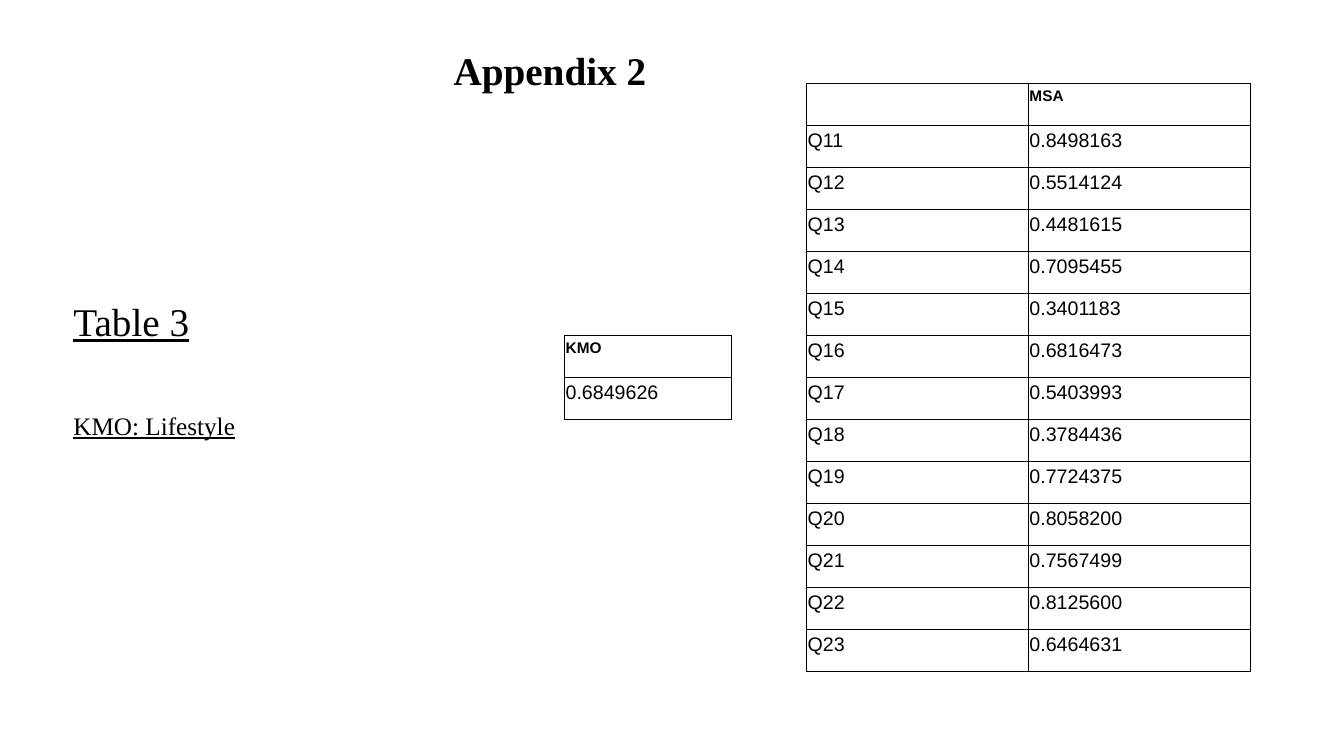
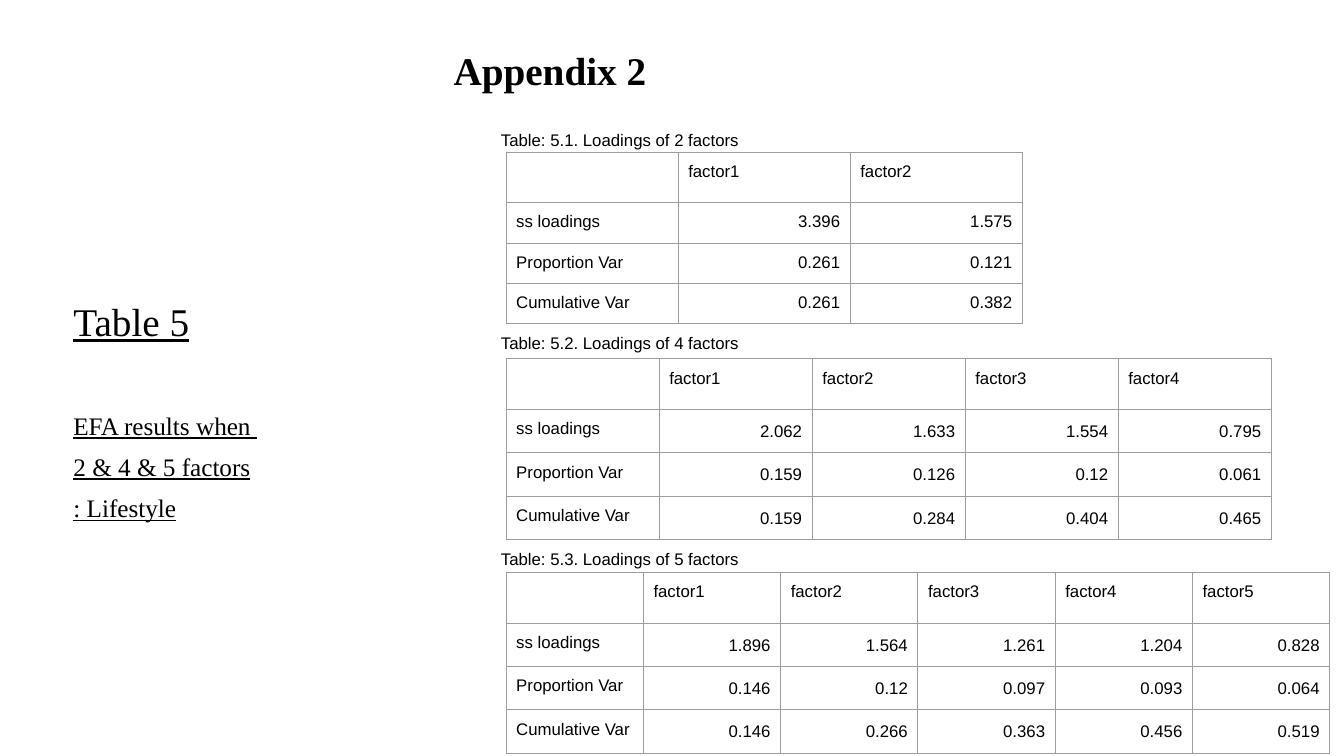
"""Builds two appendix slides with sampling adequacy and factor loading tables."""
from lxml import etree
from pptx import Presentation
from pptx.dml.color import RGBColor
from pptx.enum.text import MSO_ANCHOR, PP_ALIGN
from pptx.oxml.ns import qn
from pptx.util import Inches, Pt

MIDDLE, TOP = MSO_ANCHOR.MIDDLE, MSO_ANCHOR.TOP
LEFT, RIGHT = PP_ALIGN.LEFT, PP_ALIGN.RIGHT
BLACK = RGBColor(0x00, 0x00, 0x00)
GREY = RGBColor(0x9E, 0x9E, 0x9E)
SERIF, SANS = "Times New Roman", "Arial"
BLANK_LAYOUT = 6
HEADER_ROW, ROW, TIGHT_ROW = Pt(34.5), Pt(30), Pt(28)
LOADINGS_LEFT = 5.02

KMO = [["KMO"], ["0.6849626"]]
MSA_VALUES = [
    "0.8498163", "0.5514124", "0.4481615", "0.7095455", "0.3401183",
    "0.6816473", "0.5403993", "0.3784436", "0.7724375", "0.8058200",
    "0.7567499", "0.8125600", "0.6464631",
]
MSA = [["", "MSA"]] + [[f"Q{number}", value] for number, value in enumerate(MSA_VALUES, 11)]

MEASURES = ["ss loadings", "Proportion Var", "Cumulative Var"]
TWO_FACTORS = [["3.396", "1.575"], ["0.261", "0.121"], ["0.261", "0.382"]]
FOUR_FACTORS = [
    ["2.062", "1.633", "1.554", "0.795"],
    ["0.159", "0.126", "0.12", "0.061"],
    ["0.159", "0.284", "0.404", "0.465"],
]
FIVE_FACTORS = [
    ["1.896", "1.564", "1.261", "1.204", "0.828"],
    ["0.146", "0.12", "0.097", "0.093", "0.064"],
    ["0.146", "0.266", "0.363", "0.456", "0.519"],
]


def style_paragraph(paragraph, text, font_name, size, bold=False, underline=False,
                    spacing=1.0, align=LEFT):
    """Writes one paragraph and formats its runs."""
    paragraph.text = text
    paragraph.line_spacing = spacing
    paragraph.alignment = align
    for run in paragraph.runs:
        font = run.font
        font.name, font.size, font.bold = font_name, Pt(size), bold
        font.underline = underline
        font.color.rgb = BLACK


def add_frame(slide, left, top, width, height, anchor=TOP):
    """Adds a wrapping text box and returns its text frame."""
    box = slide.shapes.add_textbox(Inches(left), Inches(top), Inches(width), Inches(height))
    frame = box.text_frame
    frame.word_wrap = True
    frame.vertical_anchor = anchor
    return frame


def add_appendix_slide(prs, heading, description):
    """Adds a slide with the shared title and the description on the left."""
    slide = prs.slides.add_slide(prs.slide_layouts[BLANK_LAYOUT])
    title = add_frame(slide, 4.4, 0.17, 8.5, 1.1, MIDDLE)
    style_paragraph(title.paragraphs[0], "Appendix 2", SERIF, 28, bold=True, spacing=0.9)
    body = add_frame(slide, 0.63, 2.95, 4.1, 4.4)
    style_paragraph(body.paragraphs[0], heading, SERIF, 28, underline=True, spacing=0.9)
    for index, line in enumerate(description):
        paragraph = body.add_paragraph()
        style_paragraph(paragraph, line, SERIF, 18, underline=True, spacing=0.9)
        paragraph.space_before = Pt(10 if index else 49)
    return slide


def add_borders(cell, color, width):
    """Draws a solid line on all four sides of a cell."""
    properties = cell._tc.get_or_add_tcPr()
    for side in ("a:lnL", "a:lnR", "a:lnT", "a:lnB"):
        line = etree.SubElement(properties, qn(side), w=str(Pt(width)))
        fill = etree.SubElement(line, qn("a:solidFill"))
        etree.SubElement(fill, qn("a:srgbClr"), val=str(color))


def add_grid(slide, left, top, width, heights, rows, border, inset, format_cell):
    """Adds a bordered table with equal columns."""
    columns = len(rows[0])
    frame = slide.shapes.add_table(len(rows), columns, Inches(left), Inches(top),
                                   Inches(width), sum(heights))
    table = frame.table
    table.first_row = table.horz_banding = False
    for row, height in zip(table.rows, heights):
        row.height = height
    for r, texts in enumerate(rows):
        for c, text in enumerate(texts):
            cell = table.cell(r, c)
            cell.margin_left = cell.margin_right = Inches(inset)
            cell.margin_top = cell.margin_bottom = Inches(inset)
            add_borders(cell, *border)
            cell.fill.background()
            format_cell(cell.text_frame.paragraphs[0], text, r, c)


def add_adequacy_table(slide, left, top, width, rows):
    """Adds a table of sampling adequacy measures."""
    def format_cell(paragraph, text, r, c):
        style_paragraph(paragraph, text, SANS, 14 if r else 11, bold=r == 0, spacing=1.15)

    add_grid(slide, left, top, width, [ROW] * len(rows), rows, (BLACK, 0.6), 0.01, format_cell)


def add_loadings_table(slide, number, caption_top, top, width, values, row_height, spacing):
    """Adds a captioned table of factor loadings."""
    factors = len(values[0])
    header = [""] + [f"factor{factor}" for factor in range(1, factors + 1)]
    rows = [header] + [[measure] + line for measure, line in zip(MEASURES, values)]

    def format_cell(paragraph, text, r, c):
        if r and c:
            style_paragraph(paragraph, text, SANS, 12, spacing=spacing, align=RIGHT)
        else:
            style_paragraph(paragraph, text, SANS, 12)

    heights = [HEADER_ROW] + [row_height] * len(values)
    add_grid(slide, LOADINGS_LEFT, top, width, heights, rows, (GREY, 0.75), 0.1, format_cell)
    caption = add_frame(slide, LOADINGS_LEFT - 0.15, caption_top, 4, 0.4)
    caption.margin_top = Inches(0.1)
    style_paragraph(caption.paragraphs[0],
                    f"Table: 5.{number}. Loadings of {factors} factors", SANS, 12)


def main():
    """Builds and saves the presentation."""
    prs = Presentation()
    prs.slide_width, prs.slide_height = Inches(13.33), Inches(7.5)

    adequacy = add_appendix_slide(prs, "Table 3", ["KMO: Lifestyle"])
    add_adequacy_table(adequacy, 5.6, 3.33, 1.65, KMO)
    add_adequacy_table(adequacy, 8, 0.83, 4.4, MSA)

    loadings = add_appendix_slide(
        prs, "Table 5", ["EFA results when ", "2 & 4 & 5 factors", ": Lifestyle"])
    add_loadings_table(loadings, 1, 1.19, 1.51, 5.12, TWO_FACTORS, TIGHT_ROW, 1.0)
    add_loadings_table(loadings, 2, 3.2, 3.56, 7.59, FOUR_FACTORS, ROW, 1.15)
    add_loadings_table(loadings, 3, 5.34, 5.68, 8.17, FIVE_FACTORS, ROW, 1.15)

    prs.save("out.pptx")


if __name__ == "__main__":
    main()
